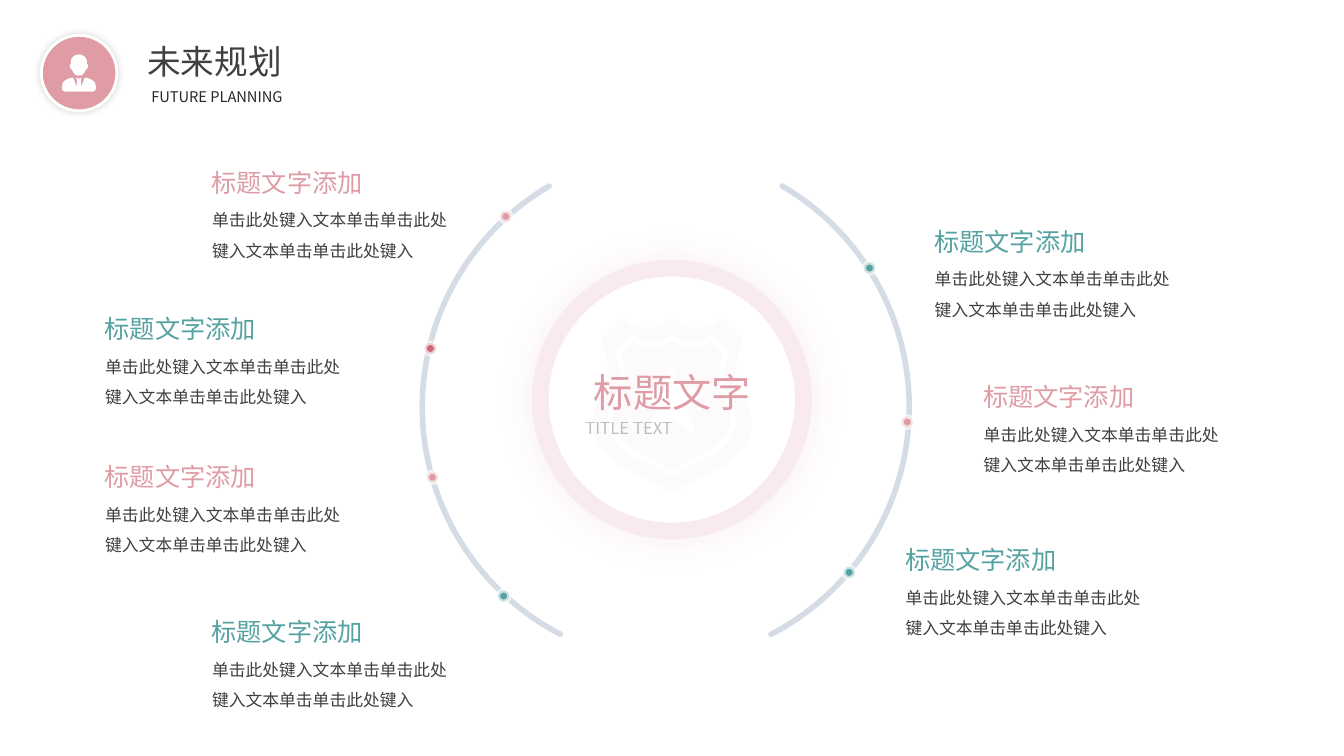
from dataclasses import dataclass

from lxml import etree
from pptx import Presentation
from pptx.dml.color import RGBColor
from pptx.enum.shapes import MSO_SHAPE
from pptx.enum.text import MSO_ANCHOR, MSO_AUTO_SIZE, PP_ALIGN
from pptx.oxml.ns import qn
from pptx.util import Inches, Pt

ARC, OVAL = MSO_SHAPE.ARC, MSO_SHAPE.OVAL
LEFT, CENTER = PP_ALIGN.LEFT, PP_ALIGN.CENTER
TOP, MIDDLE = MSO_ANCHOR.TOP, MSO_ANCHOR.MIDDLE
NO_AUTOFIT = MSO_AUTO_SIZE.NONE
FONT = "Noto Sans CJK SC"
COLORS = {
    "rose": "DF9CA5", "deep_rose": "CE6877", "teal": "56A2A2",
    "blush": "F9EBED", "shield": "EBC3C9", "track": "D6DCE5",
    "text": "404040", "subtitle": "262626", "white": "FFFFFF",
}
TITLE_ONLY = 5
COLUMNS = 160
ARC_DEGREE = 0.6
HEADING = "标题文字添加"
BODY = "单击此处键入文本单击单击此处键入文本单击单击此处键入"

presentation = Presentation()
presentation.slide_width = Inches(13.33)
presentation.slide_height = Inches(7.5)
slide = presentation.slides.add_slide(presentation.slide_layouts[TITLE_ONLY])
CELL = presentation.slide_width / COLUMNS
HUNDREDTH = Inches(0.01)


@dataclass
class Box:
    left: float
    top: float
    width: float
    height: float

    def emu(self) -> tuple:
        return tuple(round(value * CELL) for value in
                     (self.left, self.top, self.width, self.height))


@dataclass
class TextStyle:
    size: float
    color: str
    align: int = LEFT
    anchor: int = MIDDLE
    leading: float = 1.2
    padded: bool = True
    opacity: int = 100


@dataclass
class Topic:
    left: float
    top: float
    marker_left: float
    marker_top: float
    heading_color: str
    marker_color: str


@dataclass
class Arc:
    left: float
    start: float
    end: float


@dataclass
class Icon:
    center: float
    top: float
    color: str
    opacity: int
    half_outlines: list


def set_opacity(fill_parent, percent: int) -> None:
    color = fill_parent.find(".//" + qn("a:srgbClr"))
    etree.SubElement(color, qn("a:alpha"), val=str(percent * 1000))


def add_shadow(shape, color: str, opacity: int, blur: int, scale: int) -> None:
    effects = shape._element.spPr.find(qn("a:effectLst"))
    spread = str(scale * 1000)
    shadow = etree.SubElement(effects, qn("a:outerShdw"), blurRad=str(Pt(blur)),
                              dist="0", dir="0", sx=spread, sy=spread,
                              algn="ctr", rotWithShape="0")
    etree.SubElement(shadow, qn("a:srgbClr"), val=COLORS[color])
    set_opacity(shadow, opacity)


def paint(shape, fill: str | None, line: str | None = None, width: float = 0) -> None:
    shape.shadow.inherit = False
    if fill:
        shape.fill.solid()
        shape.fill.fore_color.rgb = RGBColor.from_string(COLORS[fill])
    else:
        shape.fill.background()
    if line:
        shape.line.color.rgb = RGBColor.from_string(COLORS[line])
        shape.line.width = Pt(width)
    else:
        shape.line.fill.background()


def add_circle(box: Box, fill: str, line: str, width: float):
    circle = slide.shapes.add_shape(OVAL, *box.emu())
    paint(circle, fill, line, width)
    return circle


def add_arc(arc: Arc) -> None:
    shape = slide.shapes.add_shape(ARC, *Box(arc.left, 18, 60.96, 60.96).emu())
    shape.adjustments[0] = arc.start * ARC_DEGREE
    shape.adjustments[1] = arc.end * ARC_DEGREE
    paint(shape, None, "track", 4)
    shape.line._get_or_add_ln().set("cap", "rnd")


def write_text(shape, box: Box, text: str, style: TextStyle) -> None:
    shape.left, shape.top, shape.width, shape.height = box.emu()
    frame = shape.text_frame
    frame.word_wrap = True
    frame.auto_size = NO_AUTOFIT
    frame.vertical_anchor = style.anchor
    if not style.padded:
        frame.margin_left = frame.margin_right = frame.margin_top = frame.margin_bottom = 0
    frame.text = text
    paragraph = frame.paragraphs[0]
    paragraph.alignment = style.align
    paragraph.line_spacing = Pt(style.size * style.leading)
    font = paragraph.font
    font.size = Pt(style.size)
    font.name = FONT
    font.color.rgb = RGBColor.from_string(COLORS[style.color])
    etree.SubElement(font._element, qn("a:ea"), typeface=FONT)
    if style.opacity < 100:
        set_opacity(font._element, style.opacity)


def add_text(box: Box, text: str, style: TextStyle) -> None:
    write_text(slide.shapes.add_textbox(*box.emu()), box, text, style)


def pairs(step: tuple) -> list:
    return list(zip(step[::2], step[1::2]))


def mirrored(outline: list) -> list:
    steps = list(outline)
    for index in range(len(outline) - 1, 0, -1):
        route = [outline[index - 1][-2:]] + pairs(outline[index])[:-1]
        steps.append(tuple(value for x, y in route[:1] + route[1:]
                           for value in (-x, y)) if len(route) == 1 else
                     tuple(value for x, y in route[:0:-1] + route[:1]
                           for value in (-x, y)))
    return steps


def add_icon(icon: Icon) -> None:
    def place(point: tuple) -> tuple:
        return (round(icon.center * CELL + point[0] * HUNDREDTH),
                round(icon.top * CELL + point[1] * HUNDREDTH))

    builder = None
    steps = []
    for half in icon.half_outlines:
        outline = mirrored(half)
        ends = [place(step[-2:]) for step in outline]
        if builder is None:
            builder = slide.shapes.build_freeform(*ends[0], scale=1.0)
        else:
            builder.move_to(*ends[0])
        builder.add_line_segments(ends[1:], close=True)
        steps += outline[1:]
    shape = builder.convert_to_shape()
    for segment, step in zip(list(shape._element.iter(qn("a:lnTo"))), steps):
        if len(step) == 6:
            curve = etree.Element(qn("a:cubicBezTo"))
            for x, y in map(place, pairs(step)):
                etree.SubElement(curve, qn("a:pt"), x=str(x - shape.left), y=str(y - shape.top))
            segment.getparent().replace(segment, curve)
    paint(shape, icon.color)
    if icon.opacity < 100:
        set_opacity(shape._element.spPr, icon.opacity)


def add_topic(topic: Topic) -> None:
    marker = add_circle(Box(topic.marker_left, topic.marker_top, 1.36, 1.36),
                        topic.marker_color, "white", 3)
    set_opacity(marker.line._get_or_add_ln(), 67)
    add_text(Box(topic.left, topic.top, 23.16, 5.28), HEADING,
             TextStyle(18, topic.heading_color, leading=1.5))
    add_text(Box(topic.left + 1.24, topic.top + 5.22, 29.88, 6.84), BODY,
             TextStyle(12, "text", anchor=TOP, leading=1.8, padded=False))


ARCS = [Arc(47.28, 300.3, 62.6), Arc(50.28, 117.4, 239.7)]
SHIELD = Icon(80, 37.92, "shield", 7, [
    [(0, 0), (3, 1), (9, 6, 29, 18, 46, 1), (48, 0, 49, 0, 51, 1), (69, 19),
     (70, 21, 70, 23, 70, 24), (66, 31, 57, 51, 73, 82),
     (94, 123, 54, 146, 37, 153), (24, 159, 9, 168, 3, 172), (0, 172.5)],
    [(0, 16.5), (3, 18), (6, 20, 13, 24, 21, 24), (26, 24, 31, 22, 35, 18),
     (36, 17, 40, 17, 41, 18), (55, 32), (56, 34, 57, 37, 56, 39),
     (52, 44, 47, 59, 58, 81), (64, 92, 65, 102, 61, 111),
     (59, 118, 52, 131, 29, 141), (19, 145, 7, 152, 3, 155), (0, 156)],
    [(0, 22), (4, 25, 12, 29, 21, 29), (27, 29, 33, 27, 38, 22), (51, 36),
     (48, 43, 41, 59, 54, 84), (59, 93, 60, 101, 57, 109),
     (52, 124, 34, 133, 27, 136), (17, 141, 5, 148, 0, 151)],
    [(0, 45), (2, 47), (9, 71), (34, 71), (36, 73), (15, 89), (23, 112),
     (21, 115), (0, 100)],
])
PERSON = Icon(9.4, 6.48, "white", 100, [
    [(0, 0), (4, 0, 8, 3, 8, 7), (8, 10), (8, 10, 9, 9, 9, 11),
     (9, 15, 7, 15, 7, 15), (6, 17, 5, 19, 4, 20), (2, 21, 1, 21, 0, 21)],
    [(0, 24), (2, 24, 3, 23, 3, 23), (2, 25), (2, 32), (3, 31, 5, 24, 6, 23),
     (7, 23, 9, 24, 10, 24), (10, 24, 13, 25, 14, 26), (15, 27), (16, 28),
     (16, 29, 17, 32, 17, 33), (17, 35, 16, 37, 14, 37), (0, 37)],
])
TOPICS = [
    Topic(24, 18.6, 59.54, 25.1, "rose", "rose"),
    Topic(11.28, 36, 50.56, 40.82, "teal", "deep_rose"),
    Topic(11.28, 53.64, 50.8, 56.16, "rose", "rose"),
    Topic(24, 72.12, 59.28, 70.3, "teal", "teal"),
    Topic(110.04, 25.62, 102.84, 31.24, "teal", "teal"),
    Topic(106.56, 63.54, 100.42, 67.48, "teal", "teal"),
    Topic(115.86, 44.16, 107.32, 49.58, "rose", "rose"),
]

for arc in ARCS:
    add_arc(arc)
ring = add_circle(Box(64.32, 31.92, 31.32, 31.32), "white", "blush", 12)
add_shadow(ring, "rose", 10, 20, 105)
add_icon(SHIELD)
add_text(Box(68.4, 43.44, 23.28, 6.84), "标题文字", TextStyle(28, "rose", CENTER, leading=1.1))
add_text(Box(69.68, 49.74, 20.28, 2.4), "TITLE TEXT",
         TextStyle(12, "text", padded=False, opacity=33))
for topic in TOPICS:
    add_topic(topic)
badge = add_circle(Box(4.92, 4.2, 9, 9), "rose", "white", 2)
add_shadow(badge, "text", 20, 5, 100)
add_icon(PERSON)
write_text(slide.shapes.title, Box(16.32, 4.32, 21.84, 6), "未来规划", TextStyle(24, "text"))
add_text(Box(16.84, 9.84, 26.88, 3.36), "FUTURE PLANNING", TextStyle(10.5, "subtitle"))
presentation.save("out.pptx")
